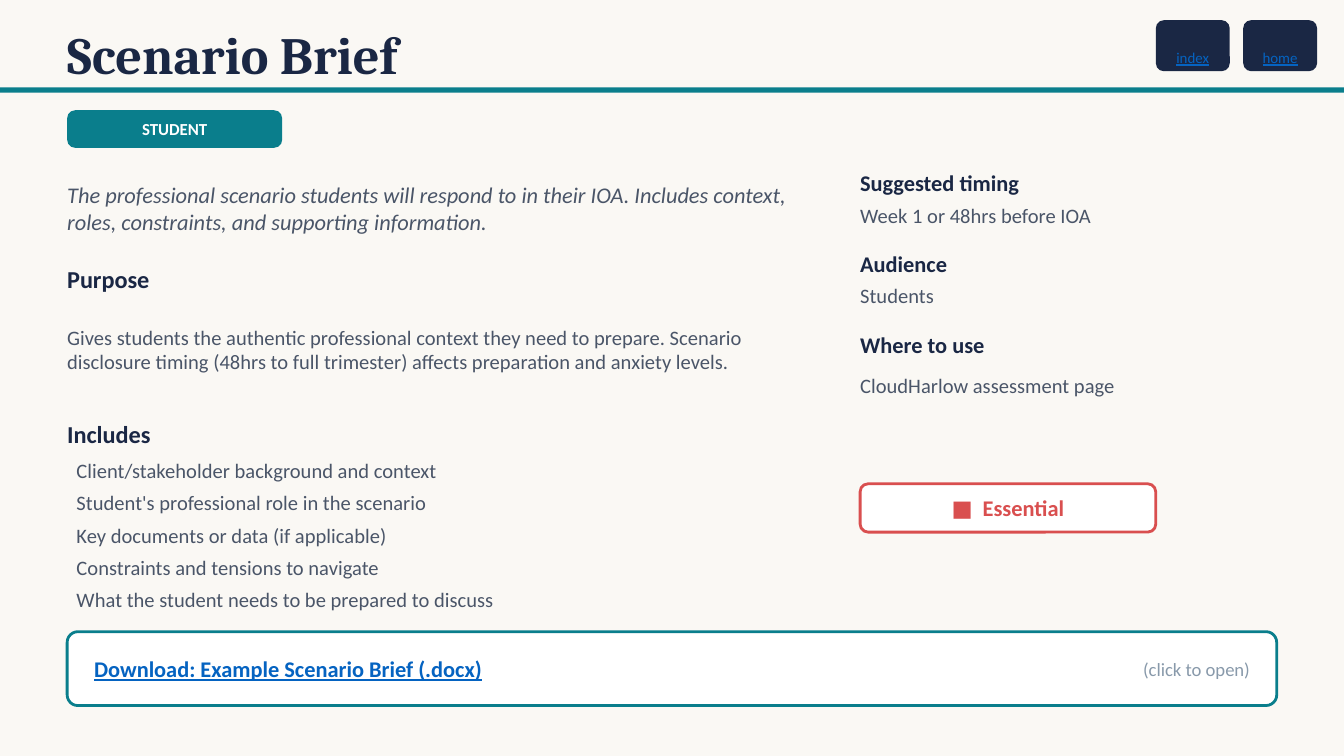
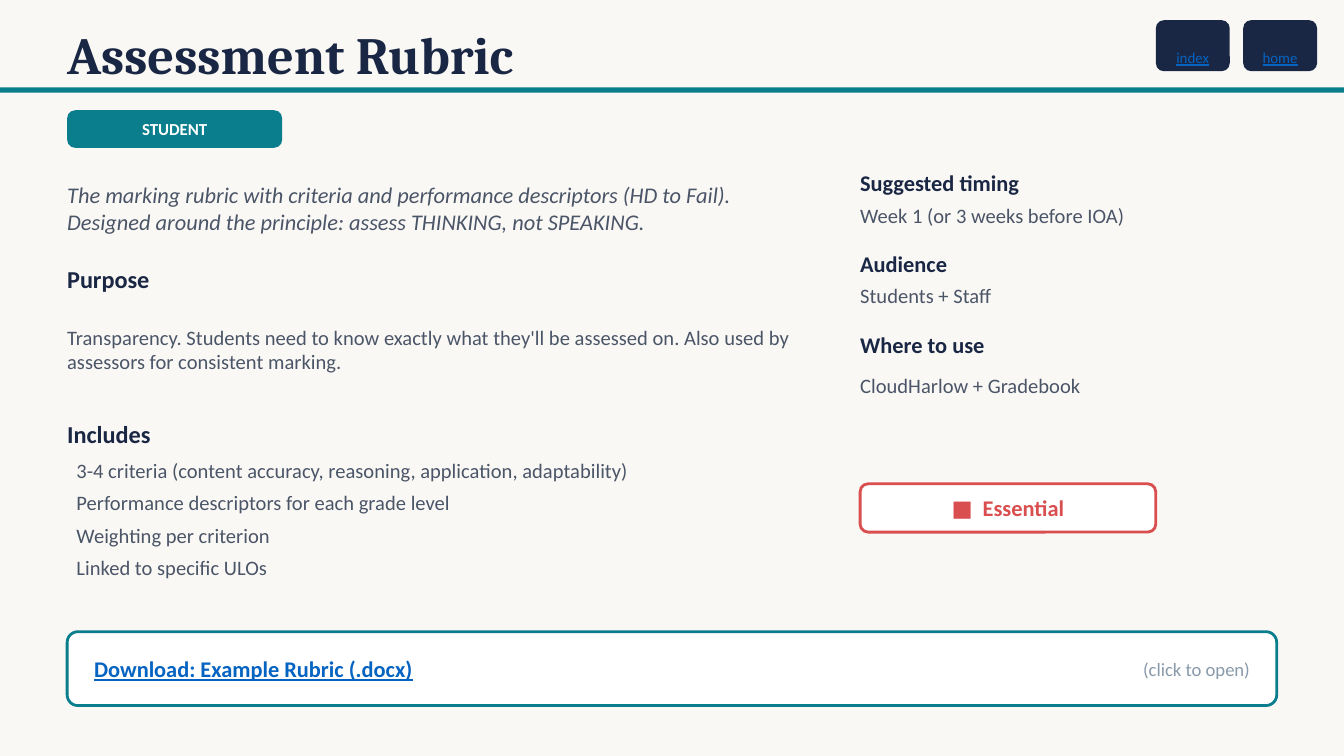
from dataclasses import dataclass
from pptx import Presentation
from pptx.dml.color import RGBColor
from pptx.enum.shapes import MSO_SHAPE
from pptx.enum.text import MSO_ANCHOR, PP_ALIGN
from pptx.util import Inches, Pt


@dataclass(frozen=True)
class Style:
    size: float
    color: str
    font: str = "Calibri"
    bold: bool = False
    italic: bool = False
    underline: bool = False


@dataclass(frozen=True)
class Theme:
    paper: str = "FAF8F4"
    white: str = "FFFFFF"
    navy: str = "1A2744"
    teal: str = "0A7E8C"
    red: str = "D94F4F"
    outline: float = 1.5
    title: Style = Style(28, navy, font="Cambria", bold=True)
    nav: Style = Style(8, "0563C1", underline=True)
    tag: Style = Style(9, white, bold=True)
    summary: Style = Style(12, "4A5568", italic=True)
    heading: Style = Style(13, navy, bold=True)
    fact: Style = Style(12, navy, bold=True)
    body: Style = Style(11, "4A5568")
    priority: Style = Style(12, red, bold=True)
    download: Style = Style(12, "0563C1", bold=True, underline=True)
    hint: Style = Style(10, "8899AA")


theme = Theme()
COL = Inches(0.5)
ROW = Inches(0.25)
COLS, ROWS = 20, 22.5
LEFT, SIDE = 1, 12.8
MAIN_WIDTH, SIDE_WIDTH = 11, 6.4
CORNER = Inches(0.06)

BRIEFS = [
    {
        "title": "Scenario Brief",
        "summary": "The professional scenario students will respond to in their IOA. "
                   "Includes context, roles, constraints, and supporting information.",
        "purpose": "Gives students the authentic professional context they need to prepare. "
                   "Scenario disclosure timing (48hrs to full trimester) affects preparation "
                   "and anxiety levels.",
        "includes": [
            "Client/stakeholder background and context",
            "Student's professional role in the scenario",
            "Key documents or data (if applicable)",
            "Constraints and tensions to navigate",
            "What the student needs to be prepared to discuss",
        ],
        "timing": "Week 1 or 48hrs before IOA",
        "audience": "Students",
        "place": "CloudHarlow assessment page",
        "download": "Download: Example Scenario Brief (.docx)",
    },
    {
        "title": "Assessment Rubric",
        "summary": "The marking rubric with criteria and performance descriptors (HD to Fail). "
                   "Designed around the principle: assess THINKING, not SPEAKING.",
        "purpose": "Transparency. Students need to know exactly what they'll be assessed on. "
                   "Also used by assessors for consistent marking.",
        "includes": [
            "3-4 criteria (content accuracy, reasoning, application, adaptability)",
            "Performance descriptors for each grade level",
            "Weighting per criterion",
            "Linked to specific ULOs",
        ],
        "timing": "Week 1 (or 3 weeks before IOA)",
        "audience": "Students + Staff",
        "place": "CloudHarlow + Gradebook",
        "download": "Download: Example Rubric (.docx)",
    },
]


def place(slide, col, row, cols, rows, fill=None, line=None, corner=CORNER):
    area = [round(n) for n in (col * COL, row * ROW, cols * COL, rows * ROW)]
    if fill is None:
        return slide.shapes.add_textbox(*area)
    kind = MSO_SHAPE.ROUNDED_RECTANGLE if corner else MSO_SHAPE.RECTANGLE
    panel = slide.shapes.add_shape(kind, *area)
    if corner:
        panel.adjustments[0] = corner / area[3]
    panel.shadow.inherit = False
    panel.fill.solid()
    panel.fill.fore_color.rgb = RGBColor.from_string(fill)
    if line:
        panel.line.color.rgb = RGBColor.from_string(line)
        panel.line.width = Pt(theme.outline)
    else:
        panel.line.fill.background()
    return panel


def write(holder, text, style, align=PP_ALIGN.LEFT, anchor=MSO_ANCHOR.MIDDLE, left=0, bottom=0):
    frame = holder.text_frame
    frame.word_wrap = True
    frame.vertical_anchor = anchor
    frame.margin_left, frame.margin_bottom = left, bottom
    frame.margin_top = frame.margin_right = 0
    frame.text = text
    paragraph = frame.paragraphs[0]
    paragraph.alignment = align
    font = paragraph.runs[0].font
    font.name, font.size = style.font, Pt(style.size)
    font.bold, font.italic, font.underline = style.bold, style.italic, style.underline
    font.color.rgb = RGBColor.from_string(style.color)


prs = Presentation()
prs.slide_width, prs.slide_height = round(COLS * COL), round(ROWS * ROW)

for brief in BRIEFS:
    slide = prs.slides.add_slide(prs.slide_layouts[6])
    slide.background.fill.solid()
    slide.background.fill.fore_color.rgb = RGBColor.from_string(theme.paper)

    write(place(slide, LEFT, 0.6, 15, 2), brief["title"], theme.title)
    place(slide, 0, 2.6, COLS, 0.16, theme.teal, corner=0)
    for i, target in enumerate(["index", "home"]):
        button = place(slide, 17.2 + 1.3 * i, 0.6, 1.1, 1.52, theme.navy)
        write(button, target, theme.nav, PP_ALIGN.CENTER, MSO_ANCHOR.BOTTOM, bottom=Inches(0.02))
    tag = place(slide, LEFT, 3.28, 3.2, 1.12, theme.teal)
    write(tag, "STUDENT", theme.tag, PP_ALIGN.CENTER)

    for row, rows, text, style in [
        (5, 2.4, brief["summary"], theme.summary),
        (7.8, 1, "Purpose", theme.heading),
        (8.8, 3.2, brief["purpose"], theme.body),
        (12.4, 1, "Includes", theme.heading),
    ]:
        write(place(slide, LEFT, row, MAIN_WIDTH, rows), text, style)
    for i, item in enumerate(brief["includes"]):
        entry = place(slide, LEFT, 13.52 + 0.96 * i, MAIN_WIDTH, 0.96)
        write(entry, item, theme.body, left=Pt(5))

    for i, (question, answer, rows) in enumerate([
        ("Suggested timing", brief["timing"], 0.88),
        ("Audience", brief["audience"], 0.88),
        ("Where to use", brief["place"], 1.4),
    ]):
        top = 5 + 2.4 * i
        write(place(slide, SIDE, top, SIDE_WIDTH, 0.88), question, theme.fact)
        write(place(slide, SIDE, top + 0.96, SIDE_WIDTH, rows), answer, theme.body)
    priority = place(slide, SIDE, 14.4, 4.4, 1.44, theme.white, theme.red)
    write(priority, "■  Essential", theme.priority, PP_ALIGN.CENTER)

    place(slide, LEFT, 18.8, 18, 2.2, theme.white, theme.teal, Inches(0.08))
    write(place(slide, 1.4, 18.8, 14, 2.2), brief["download"], theme.download)
    write(place(slide, 15.6, 18.8, 3, 2.2), "(click to open)", theme.hint, PP_ALIGN.RIGHT)

prs.save("out.pptx")
